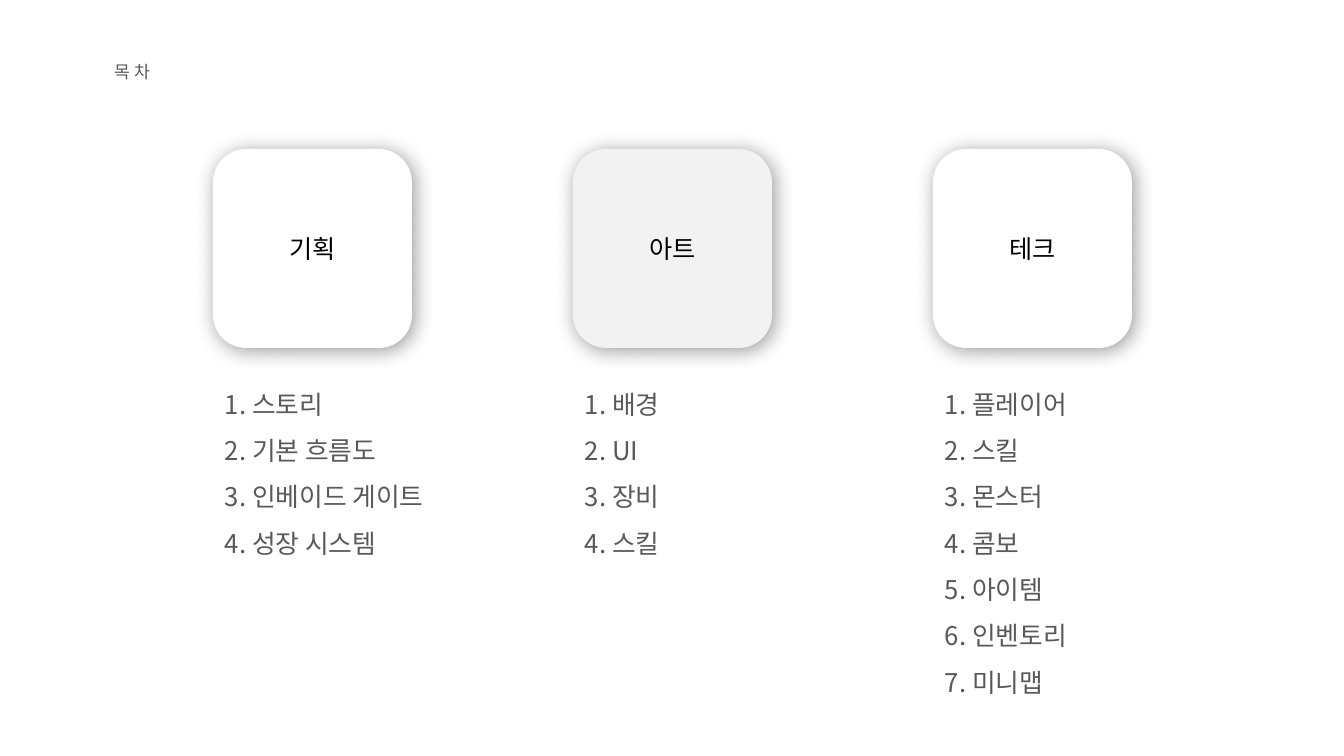
"""Build a contents slide with three cards and a numbered list under each."""
from lxml import etree
from pptx import Presentation
from pptx.dml.color import RGBColor
from pptx.enum import shapes, text
from pptx.oxml.ns import qn
from pptx.util import Pt

TITLE = "목 차"
SECTIONS = [
    ("기획", "FFFFFF", 259, ["스토리", "기본 흐름도", "인베이드 게이트", "성장 시스템"]),
    ("아트", "F2F2F2", 199, ["배경", "UI", "장비", "스킬"]),
    ("테크", "FFFFFF", 199, ["플레이어", "스킬", "몬스터", "콤보", "아이템", "인벤토리", "미니맵"]),
]
FONT = "Noto Sans CJK KR"
GREY, BLACK = "595959", "000000"
CARD_LEFT, CARD_TOP, CARD_SIZE, CARD_STEP = 213, 149, 199, 360
LIST_TOP, LINE_HEIGHT, INSET_X, INSET_Y = 367, 47, 12, 6


def px(length):
    return round(length * 914400 / 100.8)


def color(value):
    return RGBColor.from_string(value)


def write(shape, lines, size, ink, align, anchor, spacing=None):
    frame = shape.text_frame
    frame.text = "\n".join(lines)
    frame.word_wrap = True
    frame.auto_size = text.MSO_AUTO_SIZE.NONE
    frame.vertical_anchor = anchor
    frame.margin_left = frame.margin_right = px(INSET_X)
    frame.margin_top = frame.margin_bottom = px(INSET_Y)
    for paragraph in frame.paragraphs:
        paragraph.alignment = align
        paragraph.line_spacing = spacing
        font = paragraph.font
        font.size, font.name = Pt(size), FONT
        font.color.rgb = color(ink)
        properties = paragraph._p.pPr.find(qn("a:defRPr"))
        etree.SubElement(properties, qn("a:ea"), typeface=FONT)


def add_shadow(shape):
    shape.shadow.inherit = False
    effects = shape._element.spPr.find(qn("a:effectLst"))
    shadow = etree.SubElement(
        effects, qn("a:outerShdw"), blurRad=str(Pt(15)), dist=str(Pt(3)),
        dir=str(45 * 60000), algn="tl", rotWithShape="0")
    shade = etree.SubElement(shadow, qn("a:srgbClr"), val=BLACK)
    etree.SubElement(shade, qn("a:alpha"), val="40000")


def add_card(slide, left, name, fill):
    card = slide.shapes.add_shape(
        shapes.MSO_SHAPE.ROUNDED_RECTANGLE,
        px(left), px(CARD_TOP), px(CARD_SIZE), px(CARD_SIZE))
    card.fill.solid()
    card.fill.fore_color.rgb = color(fill)
    card.line.fill.background()
    add_shadow(card)
    write(card, [name], 18, BLACK, text.PP_ALIGN.CENTER, text.MSO_ANCHOR.MIDDLE)


def add_list(slide, left, width, items):
    height = LINE_HEIGHT * len(items) + 2 * INSET_Y
    box = slide.shapes.add_textbox(px(left), px(LIST_TOP), px(width), px(height))
    lines = [f"{number}. {item}" for number, item in enumerate(items, 1)]
    write(box, lines, 18.4, GREY, text.PP_ALIGN.LEFT, text.MSO_ANCHOR.TOP, 1.5)


def main():
    presentation = Presentation()
    presentation.slide_width, presentation.slide_height = px(1344), px(756)
    slide = presentation.slides.add_slide(presentation.slide_layouts[5])
    title = slide.shapes.title
    title.left, title.top, title.width, title.height = map(px, (103, 55, 186, 33))
    write(title, [TITLE], 12.3, GREY, text.PP_ALIGN.LEFT, text.MSO_ANCHOR.TOP)
    for index, (name, fill, list_width, items) in enumerate(SECTIONS):
        left = CARD_LEFT + index * CARD_STEP
        add_card(slide, left, name, fill)
        add_list(slide, left, list_width, items)
    presentation.save("out.pptx")


if __name__ == "__main__":
    main()
